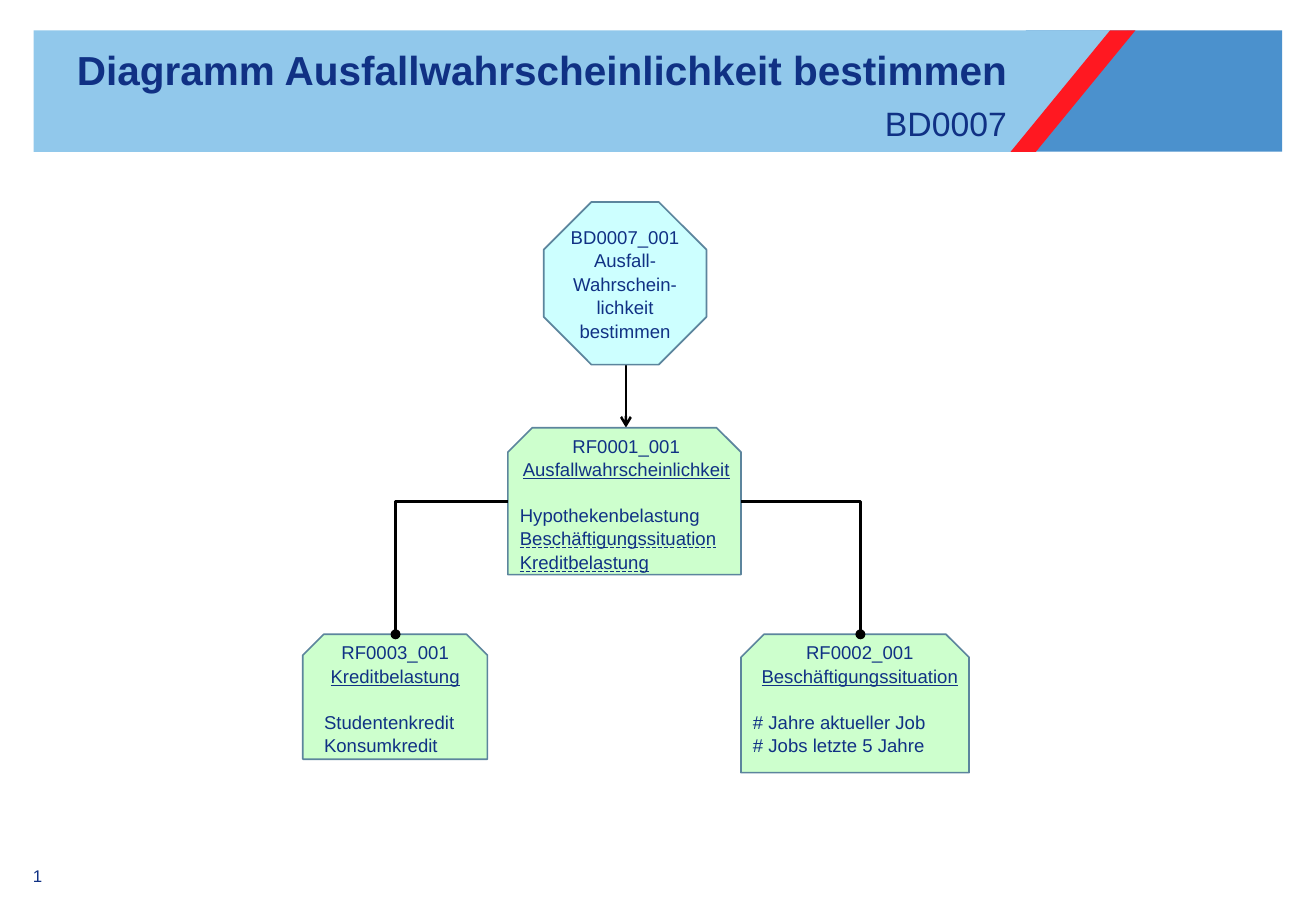
import dataclasses

import pptx
import pptx.dml.color
import pptx.enum.shapes
import pptx.enum.text
import pptx.oxml
import pptx.oxml.ns
import pptx.util

Pt = pptx.util.Pt
Shapes = pptx.enum.shapes.MSO_SHAPE
Connectors = pptx.enum.shapes.MSO_CONNECTOR
Align = pptx.enum.text.PP_ALIGN
Anchor = pptx.enum.text.MSO_ANCHOR
Underline = pptx.enum.text.MSO_UNDERLINE


@dataclasses.dataclass(frozen=True)
class Theme:
    font: str = "Arial"
    ink: str = "103184"
    banner: str = "91C8EB"
    banner_end: str = "4B91CD"
    stripe: str = "FF1821"
    decision: str = "CDFFFF"
    rule: str = "CDFFCD"
    outline: str = "5C859D"
    link: str = "000000"
    title_size: float = 24
    subtitle_size: float = 20
    node_size: float = 11
    number_size: float = 10
    outline_width: float = 1
    link_width: float = 1.5
    node_spacing: float = 1.05
    node_gap: float = 13.3


THEME = Theme()


def apply(target, values):
    for name, value in values.items():
        setattr(target, name, value)


def color(value):
    return pptx.dml.color.RGBColor.from_string(value)


def paint(shape, fill, outline=None):
    shape.shadow.inherit = False
    shape.fill.solid()
    shape.fill.fore_color.rgb = color(fill)
    if outline:
        shape.line.color.rgb = color(outline)
        shape.line.width = Pt(THEME.outline_width)
    else:
        shape.line.fill.background()


def add_box(slide, kind, bounds, fill, outline=None):
    shape = slide.shapes.add_shape(kind, *map(Pt, bounds))
    paint(shape, fill, outline)
    return shape


def add_polygon(slide, points, fill):
    builder = slide.shapes.build_freeform(*points[0], scale=Pt(1))
    builder.add_line_segments(points[1:], close=True)
    paint(builder.convert_to_shape(), fill)


def set_frame(frame, inset_x=0, inset_y=0, **values):
    margins = {"margin_left": Pt(inset_x), "margin_right": Pt(inset_x),
               "margin_top": Pt(inset_y), "margin_bottom": Pt(inset_y)}
    apply(frame, {"word_wrap": True, **margins, **values})


def write_lines(frame, lines, size):
    """Write (text, paragraph values, font values) lines into a text frame."""
    for index, (text, layout, style) in enumerate(lines):
        paragraph = frame.add_paragraph() if index else frame.paragraphs[0]
        apply(paragraph, layout)
        run = paragraph.add_run()
        run.text = text
        apply(run.font, {"name": THEME.font, "size": Pt(size), **style})
        run.font.color.rgb = color(THEME.ink)


def add_label(slide, bounds, text, size, layout, anchor=Anchor.TOP, **style):
    frame = slide.shapes.add_textbox(*map(Pt, bounds)).text_frame
    set_frame(frame, vertical_anchor=anchor)
    write_lines(frame, [(text, layout, style)], size)


def add_link(slide, start, end, head, bent=False):
    kind = Connectors.ELBOW if bent else Connectors.STRAIGHT
    connector = slide.shapes.add_connector(kind, *map(Pt, start + end))
    connector.line.color.rgb = color(THEME.link)
    connector.line.width = Pt(THEME.link_width)
    properties = connector.element.spPr
    if bent:
        properties.find(pptx.oxml.ns.qn("a:prstGeom")).set("prst", "bentConnector2")
    namespace = pptx.oxml.ns.nsdecls("a")
    connector.line._get_or_add_ln().append(
        pptx.oxml.parse_xml(f'<a:tailEnd {namespace} type="{head}"/>'))
    properties.append(pptx.oxml.parse_xml(f"<a:effectLst {namespace}/>"))


def add_decision(slide, bounds, texts):
    frame = add_box(slide, Shapes.OCTAGON, bounds, THEME.decision, THEME.outline).text_frame
    set_frame(frame, inset_y=3, vertical_anchor=Anchor.MIDDLE)
    layout = {"alignment": Align.CENTER, "line_spacing": THEME.node_spacing}
    write_lines(frame, [(text, layout, {}) for text in texts], THEME.node_size)


def add_rule(slide, bounds, text_bounds, code, name, inputs):
    """Draw a rule family: code and underlined name above its inputs."""
    add_box(slide, Shapes.SNIP_2_SAME_RECTANGLE, bounds, THEME.rule, THEME.outline)
    frame = slide.shapes.add_textbox(*map(Pt, text_bounds)).text_frame
    set_frame(frame, 7.2, 3.6, word_wrap=False,
              auto_size=pptx.enum.text.MSO_AUTO_SIZE.SHAPE_TO_FIT_TEXT)
    heading = {"alignment": Align.CENTER, "line_spacing": THEME.node_spacing}
    lines = [(code, heading, {}), (name, heading, {"underline": True})]
    for index, (text, underline) in enumerate(inputs):
        layout = {"alignment": Align.LEFT, "line_spacing": THEME.node_spacing,
                  "space_before": Pt(0 if index else THEME.node_gap)}
        lines.append((text, layout, {"underline": underline}))
    write_lines(frame, lines, THEME.node_size)


def add_banner(slide):
    top, bottom = 18, 90
    add_box(slide, Shapes.RECTANGLE, (608, top, 152, bottom - top), THEME.banner_end)
    add_polygon(slide, [(19.5, top), (668, top), (608, bottom), (19.5, bottom)], THEME.banner)
    add_polygon(slide, [(614, bottom), (673, top), (658, top), (599, bottom)], THEME.stripe)
    right = {"alignment": Align.RIGHT}
    add_label(slide, (45.4, 22.3, 551.5, 33.8), "Diagramm Ausfallwahrscheinlichkeit bestimmen",
              THEME.title_size, {**right, "line_spacing": Pt(33)}, Anchor.MIDDLE, bold=True)
    add_label(slide, (45.4, 60, 551.5, 28), "BD0007", THEME.subtitle_size,
              {**right, "line_spacing": THEME.node_spacing})


def add_diagram(slide):
    add_link(slide, (371, 182), (371, 253.5), "arrow")
    add_rule(slide, (301, 253.5, 138.2, 87.1), (301, 253.5, 140.4, 87.1),
             "RF0001_001", "Ausfallwahrscheinlichkeit",
             [("Hypothekenbelastung", False),
              ("Beschäftigungssituation", Underline.DASH_LINE),
              ("Kreditbelastung", Underline.DASH_LINE)])
    add_rule(slide, (439.2, 376, 135.2, 82), (439.2, 376, 141, 74),
             "RF0002_001", "Beschäftigungssituation",
             [("# Jahre aktueller Job", False), ("# Jobs letzte 5 Jahre", False)])
    add_rule(slide, (179.5, 376, 109.4, 74), (185, 376, 98.6, 74),
             "RF0003_001", "Kreditbelastung",
             [("Studentenkredit", False), ("Konsumkredit", False)])
    for start_x, end_x in ((301, 234.5), (439.2, 510)):
        add_link(slide, (start_x, 297.2), (end_x, 376), "oval", bent=True)
    add_decision(slide, (322.3, 119.7, 96.4, 96.4),
                 ["BD0007_001", "Ausfall-Wahrschein-lichkeit bestimmen"])


def main():
    presentation = pptx.Presentation()
    apply(presentation, {"slide_width": Pt(780), "slide_height": Pt(540)})
    slide = presentation.slides.add_slide(presentation.slide_layouts[6])
    add_banner(slide)
    add_label(slide, (19.5, 501, 26, 24), "1", THEME.number_size, {}, Anchor.BOTTOM)
    add_diagram(slide)
    presentation.save("out.pptx")


main()
